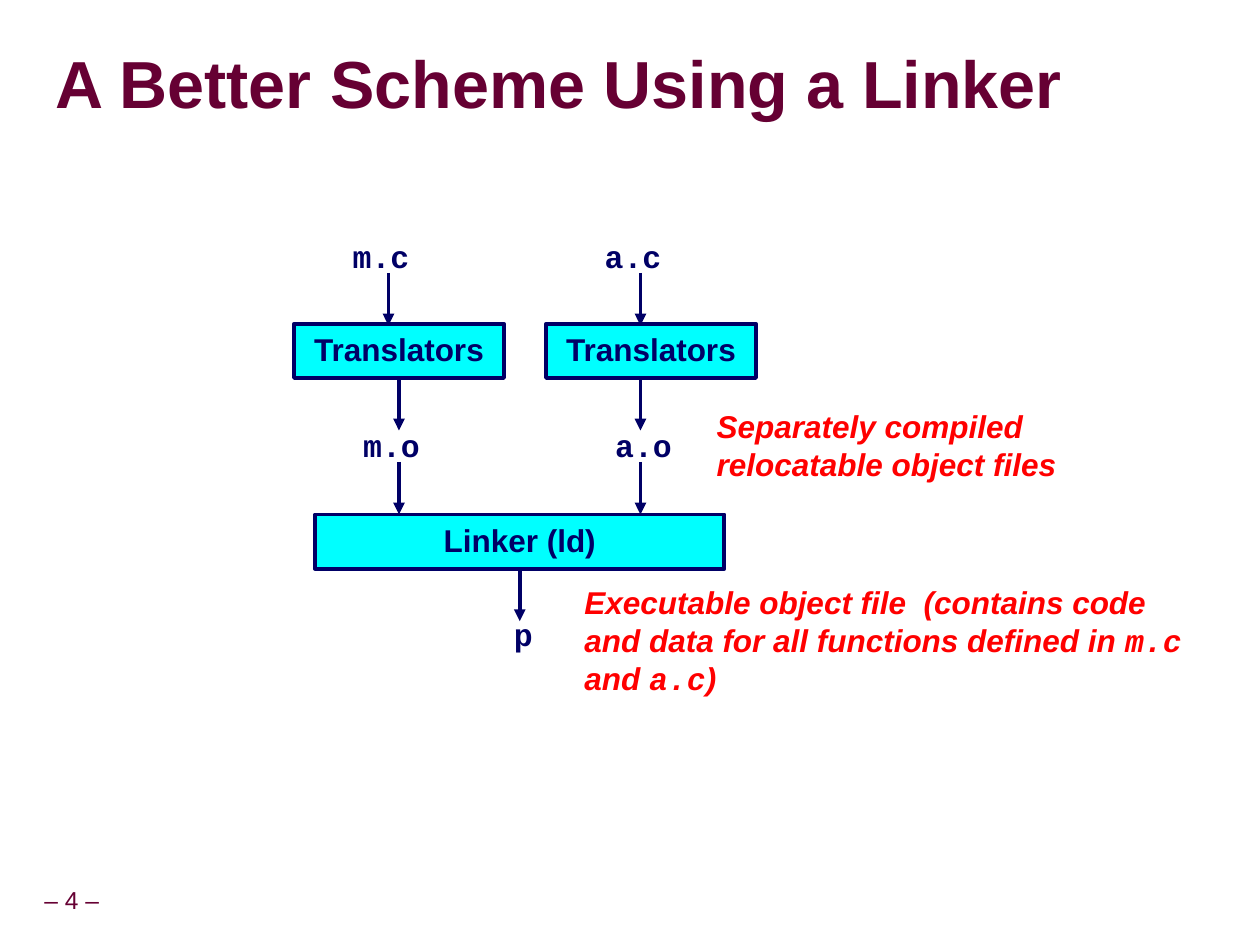
from lxml import etree
from pptx import Presentation, util as u
from pptx.dml.color import RGBColor
from pptx.enum import shapes, text
from pptx.oxml.ns import qn

CELL = u.Inches(1) / 12
NAVY, MAROON, RED, CYAN = "000066", "660033", "FF0000", "00FFFF"
SANS, MONO = "Arial", "Courier New"
BOX_HEIGHT = 5.16


def grid(*cells):
    return [u.Emu(round(cell * CELL)) for cell in cells]


def color(value):
    return RGBColor.from_string(value)


def write(shape, runs, size, hue, font=SANS, bold=True, italic=False,
          align=None, anchor=text.MSO_ANCHOR.TOP, wrap=True, grow=True,
          inset=None, spacing=None):
    frame = shape.text_frame
    frame.word_wrap = wrap
    frame.vertical_anchor = anchor
    if grow:
        frame.auto_size = text.MSO_AUTO_SIZE.SHAPE_TO_FIT_TEXT
    if inset is not None:
        frame.margin_left = frame.margin_right = u.Inches(inset)
        frame.margin_top = frame.margin_bottom = u.Inches(inset)
    paragraph = frame.paragraphs[0]
    paragraph.alignment = align
    paragraph.line_spacing = spacing
    paragraph.font.size = u.Pt(size)
    paragraph.font.bold = bold
    paragraph.font.italic = italic
    paragraph.font.color.rgb = color(hue)
    if isinstance(runs, str):
        paragraph.font.name = font
        runs = [(runs, None)]
    for words, face in runs:
        run = paragraph.add_run()
        run.text = words
        if face:
            run.font.name = face
    return paragraph


def add_text(slide, box, runs, size, hue, **style):
    shape = slide.shapes.add_textbox(*grid(*box))
    return write(shape, runs, size, hue, **style)


def add_title(slide, box, words):
    paragraph = add_text(slide, box, words, 38, MAROON, grow=False, inset=0,
                         anchor=text.MSO_ANCHOR.MIDDLE, spacing=0.87)
    properties = paragraph.runs[0].font._element
    effects = etree.SubElement(properties, qn("a:effectLst"))
    shadow = etree.SubElement(effects, qn("a:outerShdw"),
                              dist=str(u.Pt(4)), dir="2700000")
    etree.SubElement(shadow, qn("a:srgbClr"), val="969696")


def add_step(slide, box, words):
    shape = slide.shapes.add_shape(shapes.MSO_SHAPE.RECTANGLE, *grid(*box))
    shape.shadow.inherit = False
    shape.fill.solid()
    shape.fill.fore_color.rgb = color(CYAN)
    shape.line.color.rgb = color(NAVY)
    shape.line.width = u.Pt(2.25)
    write(shape, words, 18, NAVY, align=text.PP_ALIGN.CENTER)
    return shape


def add_file(slide, left, top, name):
    width = 4.2 if len(name) == 1 else 7.8
    add_text(slide, (left, top, width, 4.8), name, 18, NAVY, font=MONO, wrap=False)


def add_arrow(slide, x, top, source=None):
    arrow = slide.shapes.add_connector(
        shapes.MSO_CONNECTOR.STRAIGHT, *grid(x, top, x, top + 5))
    if source is not None:
        arrow.begin_connect(source, 2)
        arrow.end_x = arrow.begin_x
    arrow.line.color.rgb = color(NAVY)
    arrow.line.width = u.Pt(2.25)
    properties = arrow._element.spPr
    etree.SubElement(properties.find(qn("a:ln")), qn("a:tailEnd"), type="triangle")
    etree.SubElement(properties, qn("a:effectLst"))


def add_translation(slide, left, top, name, output_shift, joined):
    add_file(slide, left + 4.4, top, f"{name}.c")
    add_arrow(slide, left + 9, top + 4)
    translator = add_step(slide, (left, top + 8.84, 20, BOX_HEIGHT), "Translators")
    add_arrow(slide, left + output_shift, top + 14, translator if joined else None)
    add_file(slide, left + 5.4, top + 18, f"{name}.o")
    add_arrow(slide, left + output_shift, top + 22)


def add_linking(slide, left, top):
    linker = add_step(slide, (left, top, 39, BOX_HEIGHT), "Linker (ld)")
    add_arrow(slide, left + 19.5, top + BOX_HEIGHT, linker)
    add_file(slide, left + 17.76, top + 9, "p")


def add_note(slide, box, runs):
    add_text(slide, box, runs, 18, RED, italic=True)


def main():
    presentation = Presentation()
    presentation.slide_width, presentation.slide_height = u.Inches(10), u.Inches(7.5)
    slide = presentation.slides.add_slide(presentation.slide_layouts[6])

    add_text(slide, (2.88, 84, 7.92, 3.72), "– 4 –", 14, MAROON, bold=False,
             align=text.PP_ALIGN.CENTER, anchor=text.MSO_ANCHOR.MIDDLE,
             wrap=False, inset=0.05, spacing=0.9)
    add_title(slide, (5.28, 3.24, 114.36, 10.2), "A Better Scheme Using a Linker")
    add_translation(slide, 28, 22, "m", 10, True)
    add_translation(slide, 52, 22, "a", 9, False)
    add_linking(slide, 30, 49)
    add_note(slide, (67.08, 38.16, 39.12, 8.4),
             "Separately compiled relocatable object files")
    add_note(slide, (54.48, 54.96, 59.64, 12), [
        ("Executable object file  (contains code and data for all functions defined in ", SANS),
        ("m.c", MONO), (" and ", SANS), ("a.c", MONO), (")", SANS)])
    presentation.save("out.pptx")


if __name__ == "__main__":
    main()
